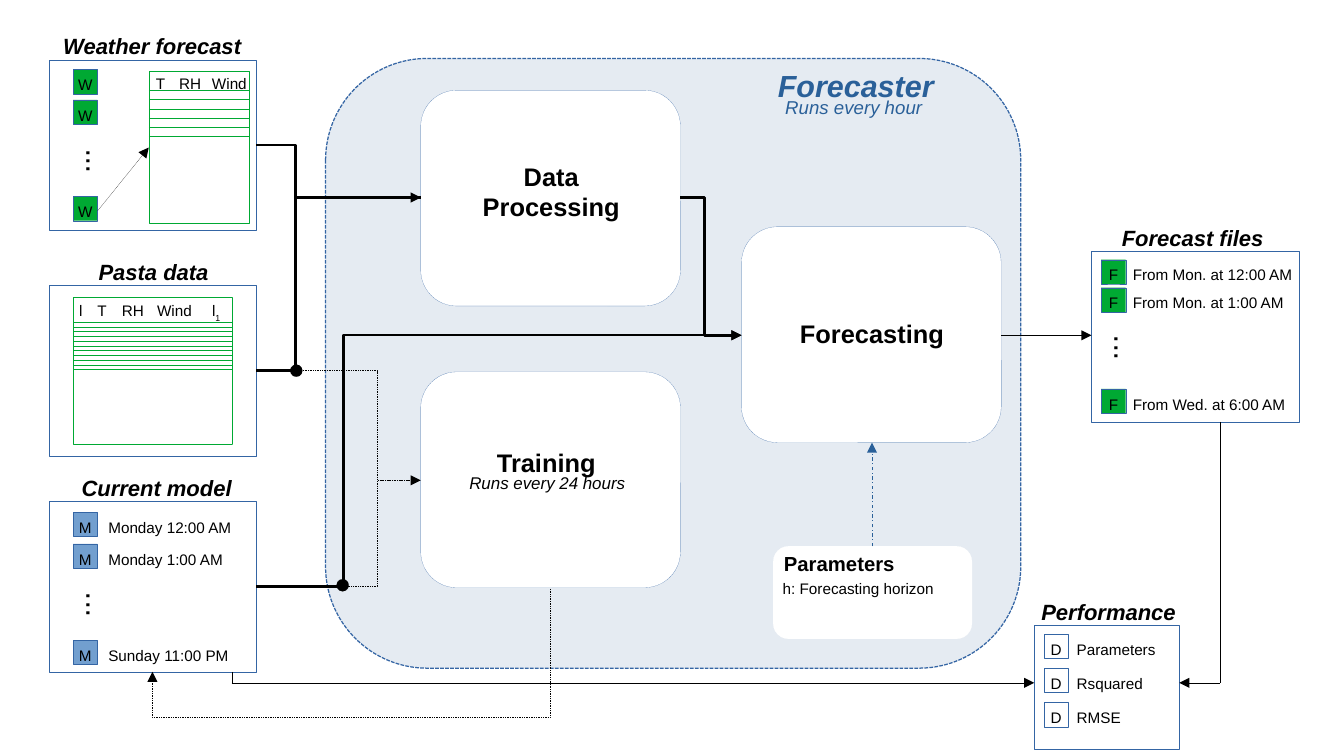
from lxml.etree import SubElement
from pptx import Presentation
from pptx.dml.color import RGBColor
from pptx.enum.dml import MSO_LINE
from pptx.enum.shapes import MSO_CONNECTOR, MSO_SHAPE
from pptx.enum.text import MSO_ANCHOR, PP_ALIGN
from pptx.oxml.ns import qn
from pptx.util import Inches, Pt

C = {"black": "000000", "white": "FFFFFF", "blue": "2A6099", "edge": "3465A4",
     "green": "00A933", "model": "729FCF"}
TAG = 0.2
HAIRLINE = 0.05


def write(tf, text, size=9, bold=False, italic=False, color="black",
          align=PP_ALIGN.LEFT, anchor=MSO_ANCHOR.TOP, inset=0.1, sub=None):
    tf.word_wrap = False
    tf.vertical_anchor = anchor
    tf.margin_left = tf.margin_right = Inches(inset)
    tf.margin_top = tf.margin_bottom = Inches(0.05)
    for i, line in enumerate(text.split("\n")):
        p = tf.paragraphs[0] if i == 0 else tf.add_paragraph()
        p.alignment = align
        for part in (line, sub):
            if not part:
                continue
            r = p.add_run()
            r.text = part
            f = r.font
            f.name, f.size, f.bold, f.italic = "Arial", Pt(size), bold, italic
            f.color.rgb = RGBColor.from_string(C[color])
            if part is sub:
                f._element.set("baseline", "-33000")


def add_text(s, text, x, y, w, h=0.24, rotation=0, **fmt):
    tb = s.shapes.add_textbox(Inches(x), Inches(y), Inches(w), Inches(h))
    tb.rotation = rotation
    write(tb.text_frame, text, **fmt)


def add_box(s, x, y, w, h, kind=MSO_SHAPE.RECTANGLE, fill="white", line="edge",
            width=HAIRLINE, alpha=None, dash=None):
    sp = s.shapes.add_shape(kind, Inches(x), Inches(y), Inches(w), Inches(h))
    sp.shadow.inherit = False
    sp.fill.solid()
    sp.fill.fore_color.rgb = RGBColor.from_string(C[fill])
    sp.line.color.rgb = RGBColor.from_string(C[line])
    sp.line.width = Pt(width)
    if dash:
        sp.line.dash_style = dash
    if alpha:
        color = sp._element.spPr.find(qn("a:solidFill"))[0]
        SubElement(color, qn("a:alpha")).set("val", str(alpha * 1000))
    return sp


def add_line(s, x1, y1, x2, y2, color="black", width=HAIRLINE, bend=None, arrow=False,
             dash=None, rotation=0):
    kind = MSO_CONNECTOR.STRAIGHT if bend is None else MSO_CONNECTOR.ELBOW
    cx = s.shapes.add_connector(kind, Inches(x1), Inches(y1), Inches(x2), Inches(y2))
    cx.line.color.rgb = RGBColor.from_string(C[color])
    cx.line.width = Pt(width)
    if dash:
        cx.line.dash_style = dash
    spPr = cx._element.spPr
    if bend is not None:
        geom = spPr.find(qn("a:prstGeom"))
        guides = geom.find(qn("a:avLst"))
        if guides is None:
            guides = SubElement(geom, qn("a:avLst"))
        guide = SubElement(guides, qn("a:gd"))
        guide.set("name", "adj1")
        guide.set("fmla", f"val {round(bend * 100000)}")
    if rotation:
        spPr.find(qn("a:xfrm")).set("rot", str(rotation * 60000))
    if arrow:
        SubElement(spPr.find(qn("a:ln")), qn("a:tailEnd")).set("type", "triangle")
    SubElement(spPr, qn("a:effectLst"))


def panel(s, box, title, title_dx, title_w):
    x, y, w, h = box
    add_box(s, x, y, w, h)
    add_text(s, title, x + title_dx, y - 0.27, title_w, 0.3, size=13, bold=True, italic=True)


def tag_list(s, box, letter, fill, dx, rows, label_dx=0.19, label_w=1.3, dots_dy=None):
    x, y = box[0] + dx, box[1]
    for dy, label in rows:
        sp = add_box(s, x, y + dy, TAG, TAG, fill=fill)
        write(sp.text_frame, letter, align=PP_ALIGN.CENTER, inset=0)
        if label:
            add_text(s, label, x + label_dx, y + dy, label_w)
    if dots_dy:
        add_text(s, "...", x - 0.18, y + dots_dy, 0.41, 0.38, rotation=270, size=18)


def data_table(s, box, columns, first, step, count):
    x, y, w, h = box
    add_box(s, x, y, w, h, line="green")
    for text, sub, dx, cell_w in columns:
        add_text(s, text, x + dx, y - 0.02, cell_w, sub=sub)
    for i in range(count):
        row_y = y + first + i * step
        add_line(s, x, row_y, x + w, row_y, color="green")


def stage(s, box, name, dx, dy, w, h=0.33):
    x, y = box[:2]
    add_box(s, *box, kind=MSO_SHAPE.ROUNDED_RECTANGLE)
    add_text(s, name, x + dx, y + dy, w, h, size=15, bold=True,
             align=PP_ALIGN.CENTER, anchor=MSO_ANCHOR.BOTTOM)


def forecaster(s, box):
    x, y = box[:2]
    add_box(s, *box, kind=MSO_SHAPE.ROUNDED_RECTANGLE, fill="blue", alpha=12,
            width=0.75, dash=MSO_LINE.SQUARE_DOT)
    add_text(s, "Forecaster", x + 3.61, y + 0.02, 1.6, 0.38, size=18, bold=True,
             italic=True, color="blue")
    add_text(s, "Runs every hour", x + 3.67, y + 0.26, 1.5, 0.27, size=11,
             italic=True, color="blue")
    # Processing stages
    size = (2.13, 1.77)
    stage(s, (x + 0.78, y + 0.26, *size), "Data\nProcessing", 0.37, 0.57, 1.4, 0.56)
    stage(s, (x + 0.78, y + 2.57, *size), "Training", 0.48, 0.59, 1.1)
    add_text(s, "Runs every 24 hours", x + 1.08, y + 3.35, 1.6, 0.25, size=10, italic=True)
    stage(s, (x + 3.41, y + 1.38, *size), "Forecasting", 0.32, 0.72, 1.5)
    # Parameters note
    px, py = x + 3.67, y + 4
    add_box(s, px, py, 1.63, 0.76, kind=MSO_SHAPE.ROUNDED_RECTANGLE, line="white")
    add_text(s, "Parameters", px - 0.01, py, 1.2, 0.29, size=12, bold=True,
             anchor=MSO_ANCHOR.BOTTOM)
    add_text(s, "h: Forecasting horizon", px - 0.02, py + 0.22, 1.6)


def inputs(s, weather, pasta, model):
    panel(s, weather, "Weather forecast", 0.02, 1.88)
    tag_list(s, weather, "W", "green", 0.2, [(0.08, ""), (0.33, ""), (1.12, "")], dots_dy=0.64)
    x, y = weather[:2]
    data_table(s, (x + 0.82, y + 0.09, 0.82, 1.25),
               [("T", None, -0.04, 0.35), ("RH", None, 0.15, 0.45), ("Wind", None, 0.42, 0.6)],
               0.16, 0.076, 6)
    add_line(s, x + 0.4, y + 1.24, x + 0.82, y + 0.72, arrow=True)

    panel(s, pasta, "Pasta data", 0.31, 1.42)
    x, y = pasta[:2]
    data_table(s, (x + 0.2, y + 0.1, 1.3, 1.2),
               [("l", None, -0.05, 0.3), ("T", None, 0.1, 0.35), ("RH", None, 0.3, 0.45),
                ("Wind", None, 0.59, 0.6), ("l", "1", 1.04, 0.35)], 0.2, 0.039, 11)

    panel(s, model, "Current model", 0.17, 1.55)
    tag_list(s, model, "M", "model", 0.2,
             [(0.09, "Monday 12:00 AM"), (0.35, "Monday 1:00 AM"), (1.14, "Sunday 11:00 PM")],
             dots_dy=0.66)


def outputs(s, files, performance):
    panel(s, files, "Forecast files", 0.15, 1.5)
    tag_list(s, files, "F", "green", 0.08,
             [(0.07, "From Mon. at 12:00 AM"), (0.3, "From Mon. at 1:00 AM"),
              (1.13, "From Wed. at 6:00 AM")], label_dx=0.16, label_w=1.7, dots_dy=0.6)
    panel(s, performance, "Performance", -0.04, 1.45)
    names = ("Parameters", "Rsquared", "RMSE")
    tag_list(s, performance, "D", "white", 0.08,
             [(0.07 + i * 0.28, name) for i, name in enumerate(names)],
             label_dx=0.17, label_w=0.94)


def flows(s):
    training = {"width": 0.5, "dash": MSO_LINE.ROUND_DOT}
    main_flow = {"width": 1.5}
    # Into training and back to the current model
    add_line(s, 2.1, 3.04, 3.45, 3.94, bend=0.74, **training)
    add_line(s, 2.1, 4.81, 3.45, 3.94, bend=0.74, arrow=True, **training)
    add_line(s, 2.54, 3.54, 3.22, 6.8, bend=1.55, arrow=True, rotation=90, **training)
    # Into data processing and forecasting
    add_line(s, 2.1, 3.04, 3.45, 1.62, bend=0.24, **main_flow)
    add_line(s, 2.1, 1.19, 3.45, 1.62, bend=0.24, arrow=True, **main_flow)
    add_line(s, 5.58, 1.62, 6.08, 2.75, bend=0.39, arrow=True, **main_flow)
    add_line(s, 2.1, 4.81, 6.08, 2.75, bend=0.18, arrow=True, **main_flow)
    add_line(s, 7.15, 4.48, 7.15, 3.63, color="blue", width=0.5,
             dash=MSO_LINE.DASH_DOT, arrow=True)
    for x, y in ((2.38, 2.99), (2.76, 4.75)):
        add_box(s, x, y, 0.1, 0.1, kind=MSO_SHAPE.OVAL, fill="black", line="black")
    # Out to forecast files and performance
    add_line(s, 8.21, 2.75, 8.95, 2.75, arrow=True)
    add_line(s, 1.9, 5.51, 1.9, 5.6)
    add_line(s, 1.9, 5.6, 8.48, 5.6, arrow=True)
    add_line(s, 10, 3.46, 10, 5.6)
    add_line(s, 10, 5.6, 9.67, 5.6, arrow=True)


def main():
    prs = Presentation()
    prs.slide_width, prs.slide_height = Inches(11.02), Inches(6.2)
    s = prs.slides.add_slide(prs.slide_layouts[6])
    size = (1.7, 1.4)
    forecaster(s, (2.67, 0.48, 5.7, 5))
    inputs(s, (0.4, 0.49, *size), (0.4, 2.34, *size), (0.4, 4.11, *size))
    outputs(s, (8.95, 2.06, *size), (8.48, 5.13, 1.19, 1.01))
    flows(s)
    prs.save("out.pptx")


if __name__ == "__main__":
    main()
